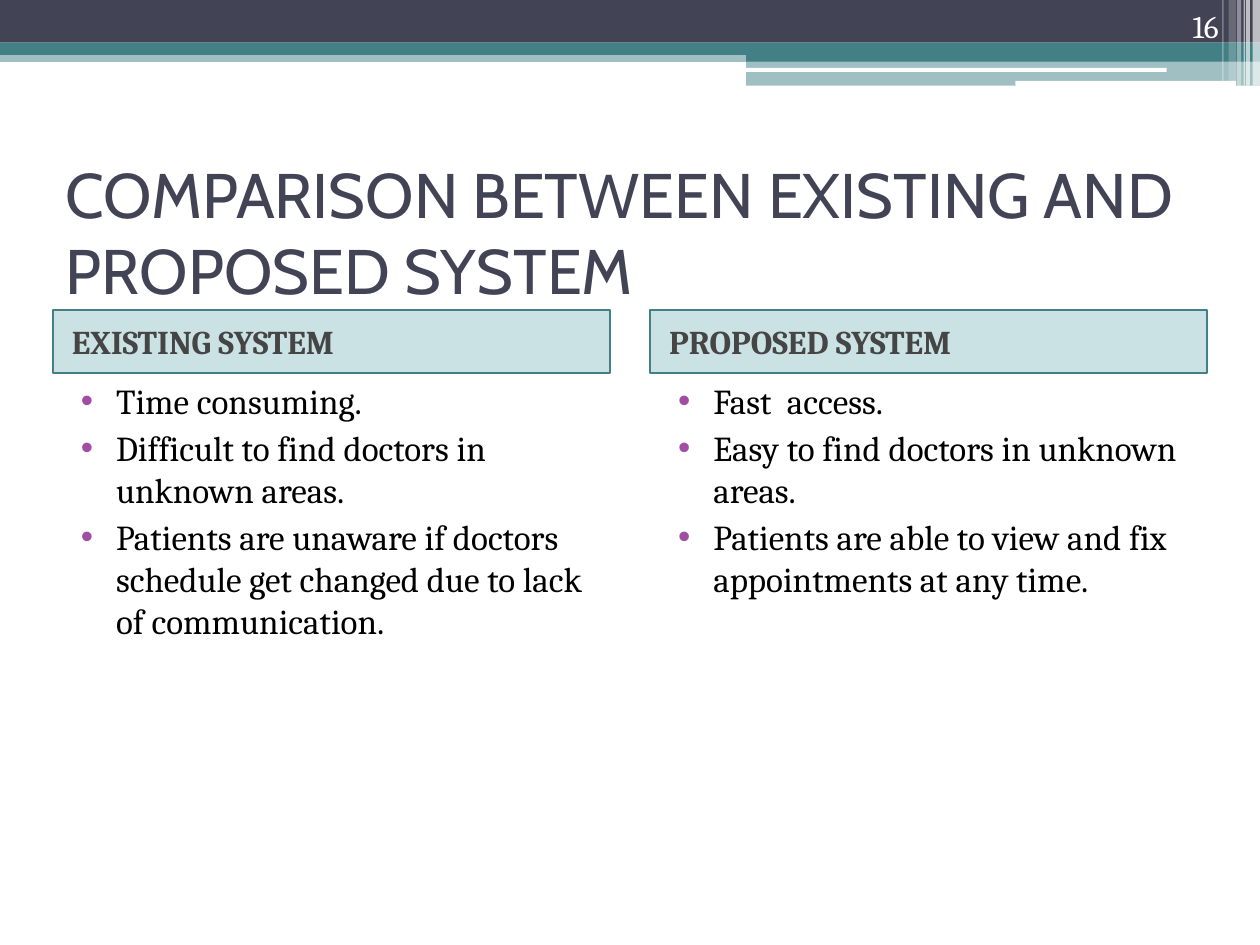
from dataclasses import dataclass

from lxml import etree
from pptx import Presentation
from pptx import util as u
from pptx.dml import color as col
from pptx.enum import shapes, text
from pptx.oxml import ns


@dataclass(frozen=True)
class Theme:
    navy: str = "424456"
    teal: str = "438086"
    tint: str = "328E97"
    white: str = "FFFFFF"
    black: str = "000000"
    gray: str = "454545"
    dot: str = "A04DA3"
    head: str = "Cabin"
    body: str = "Cambria"
    big: int = 36
    mid: int = 20
    label: int = 19
    page: int = 18


T = Theme()
RECT = shapes.MSO_SHAPE.RECTANGLE
ROUND = shapes.MSO_SHAPE.ROUNDED_RECTANGLE
LEFT, RIGHT = text.PP_ALIGN.LEFT, text.PP_ALIGN.RIGHT
TOP, MID, LOW = (text.MSO_ANCHOR.TOP, text.MSO_ANCHOR.MIDDLE,
                 text.MSO_ANCHOR.BOTTOM)


def put(item, **vals):
    for name, val in vals.items():
        setattr(item, name, val)


def rgb(hue):
    return col.RGBColor.from_string(hue)


def place(box):
    return [u.Cm(n) for n in box]


def bar(slide, box, hue, alpha=100, kind=RECT):
    shape = slide.shapes.add_shape(kind, *place(box))
    shape.shadow.inherit = False
    shape.fill.solid()
    shape.fill.fore_color.rgb = rgb(hue)
    shape.line.fill.background()
    if alpha < 100:
        clr = shape.fill._xPr.find(".//" + ns.qn("a:srgbClr"))
        etree.SubElement(clr, ns.qn("a:alpha"), val=str(alpha * 1000))
    return shape


def write(frame, lines, size, hue, font=T.body, bold=False, anchor=TOP,
          align=LEFT, gap=0):
    put(frame, word_wrap=True, auto_size=text.MSO_AUTO_SIZE.NONE,
        vertical_anchor=anchor)
    for i, line in enumerate(lines):
        para = frame.add_paragraph() if i else frame.paragraphs[0]
        put(para, alignment=align, space_before=u.Pt(gap))
        run = para.add_run()
        run.text = line
        put(run.font, name=font, size=u.Pt(size), bold=bold)
        run.font.color.rgb = rgb(hue)


def indent(para, left, hang=0, dot=None):
    props = para._p.get_or_add_pPr()
    props.set("marL", str(u.Cm(left)))
    props.set("indent", str(u.Cm(-hang)))
    if dot:
        clr = etree.SubElement(props, ns.qn("a:buClr"))
        etree.SubElement(clr, ns.qn("a:srgbClr"), val=dot)
        etree.SubElement(props, ns.qn("a:buFont"), typeface="Arial")
        etree.SubElement(props, ns.qn("a:buChar"), char="•")


def banner(slide, box):
    x, y, w, h = box
    step = x + 15.04
    wide = x + w - step
    bar(slide, (x, y + 1.02, w, 0.23), T.teal, 50)
    bar(slide, (x, y, w, 0.86), T.navy)
    bar(slide, (x, y + 0.86, w, 0.25), T.teal)
    bar(slide, (step, y + 0.99, wide, 0.25), T.teal)
    bar(slide, (step, y + 1.22, wide, h - 1.22), T.teal, 50)
    bar(slide, (step - 0.03, y + 1.37, 8.51, 0.08), T.white, kind=ROUND)
    bar(slide, (x + 20.47, y + 1.63, 4.45, 0.1), T.white, kind=ROUND)


def stripes(slide, box):
    x, y, w, h = box
    short = h - 0.1
    for dx, wide, tall, alpha in (
            (0.61, 0.15, h, 65), (0.48, 0.08, h, 65), (0.43, 0.03, h, 60),
            (0.3, 0.08, h, 40), (0.13, 0.15, short, 20),
            (0, 0.03, short, 30)):
        bar(slide, (x + dx, y, wide, tall), T.white, alpha)


def title(slide, box, words):
    shape = slide.shapes.title
    x, y, w, h = place(box)
    put(shape, left=x, top=y, width=w, height=h)
    write(shape.text_frame, [words], T.big, T.navy, T.head, anchor=MID)


def column(slide, box, name, points):
    x, y, w, h = box
    tall = 1.27
    head = bar(slide, (x, y, w, tall), T.tint, 25)
    head.line.color.rgb = rgb(T.teal)
    head.line.width = u.Pt(1)
    write(head.text_frame, [name], T.label, T.gray, bold=True, anchor=MID,
          gap=3)
    indent(head.text_frame.paragraphs[0], 0.13)
    body = slide.shapes.add_textbox(*place((x, y + tall, w, h - tall)))
    write(body.text_frame, points, T.mid, T.black, gap=3)
    for para in body.text_frame.paragraphs:
        indent(para, 1.02, 0.71, T.dot)


def number(slide, box, words):
    shape = slide.shapes.add_textbox(*place(box))
    write(shape.text_frame, [words], T.page, T.white, anchor=LOW, align=RIGHT)


def main():
    deck = Presentation()
    put(deck, slide_width=u.Cm(25.4), slide_height=u.Cm(19.05))
    slide = deck.slides.add_slide(deck.slide_layouts[5])
    banner(slide, (0, 0, 25.4, 1.73))
    stripes(slide, (24.64, 0, 0.76, 1.73))
    title(slide, (1.07, 3.18, 23.29, 2.97),
          "COMPARISON BETWEEN EXISTING AND PROPOSED SYSTEM")
    sides = {
        "EXISTING SYSTEM": [
            "Time consuming.",
            "Difficult to find doctors in unknown areas.",
            "Patients are unaware if doctors schedule get changed due to "
            "lack of communication."],
        "PROPOSED SYSTEM": [
            "Fast  access.",
            "Easy to find doctors in unknown areas.",
            "Patients are able to view and fix appointments at any time."],
    }
    for i, (name, points) in enumerate(sides.items()):
        column(slide, (1.07 + i * 12.04, 6.25, 11.23, 12.06), name, points)
    number(slide, (22.71, 0, 2.11, 1.02), "16")
    deck.save("out.pptx")


if __name__ == "__main__":
    main()
